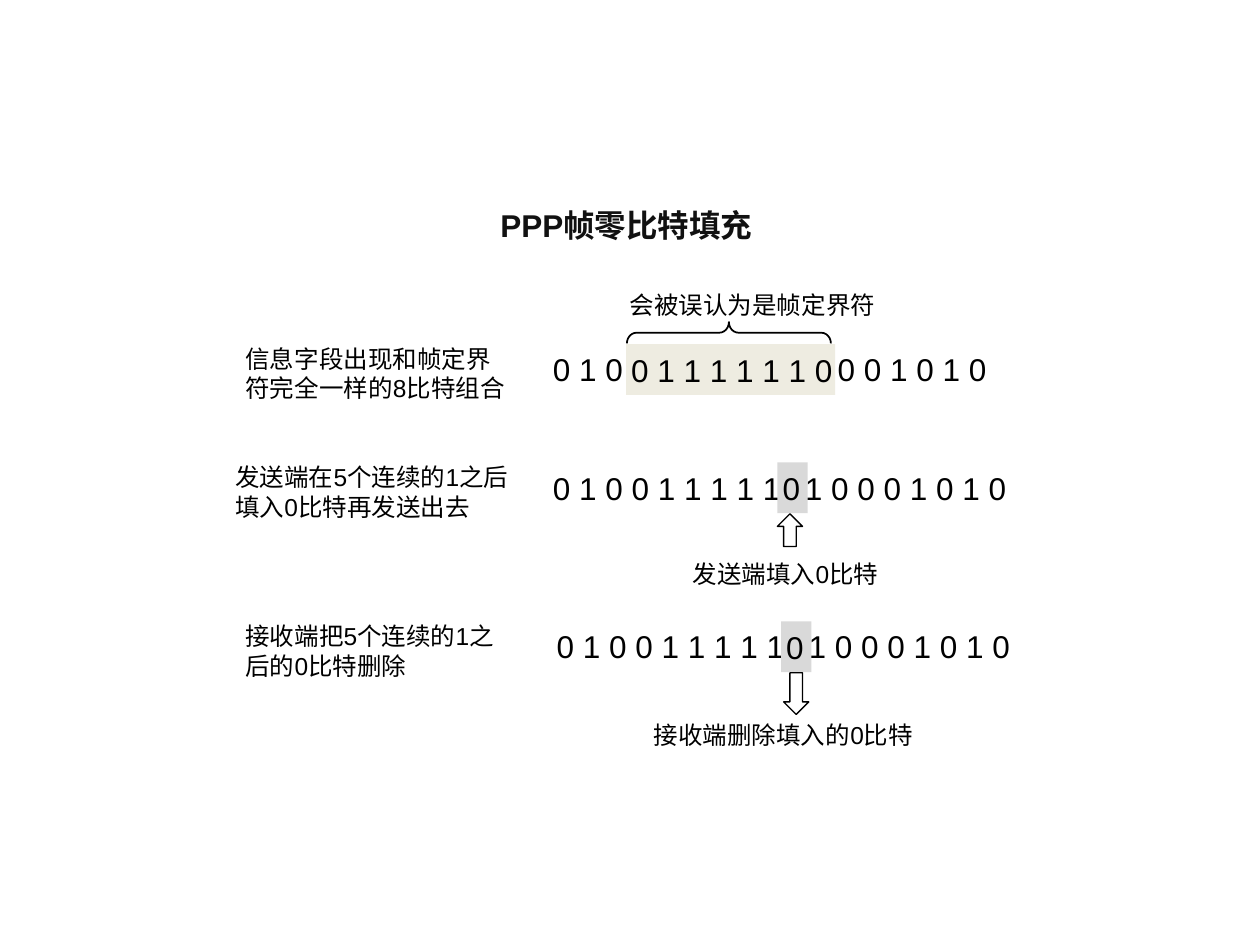
from dataclasses import dataclass

from pptx import Presentation
from pptx import util as u
from pptx.dml.color import RGBColor
from pptx.enum import shapes, text


@dataclass(frozen=True)
class Theme:
    font: str = "Arial"
    ink: str = "000000"
    title_ink: str = "111111"
    paper: str = "FFFFFF"
    flag_fill: str = "EEECE1"
    stuffed_fill: str = "D9D9D9"
    bit_size: int = 18
    note_size: int = 14
    bit_height: float = 29.1
    note_height: float = 24.2
    label_height: float = 41


class BitStuffingSlide:
    """Draws the elements of a bit stuffing diagram, measured in points."""

    def __init__(self, slide, theme):
        self.slide = slide
        self.theme = theme

    def set_text(self, shape, words, size, color=None, bold=False, align=text.PP_ALIGN.LEFT, wrap=True):
        frame = shape.text_frame
        frame.text = words
        frame.word_wrap = wrap
        frame.auto_size = text.MSO_AUTO_SIZE.SHAPE_TO_FIT_TEXT
        paragraph = frame.paragraphs[0]
        paragraph.alignment = align
        font = paragraph.runs[0].font
        font.name = self.theme.font
        font.size = u.Pt(size)
        font.bold = bold
        font.color.rgb = RGBColor.from_string(color or self.theme.ink)

    def fill(self, shape, color):
        shape.fill.solid()
        shape.fill.fore_color.rgb = RGBColor.from_string(color)

    def outline(self, shape, width):
        shape.line.color.rgb = RGBColor.from_string(self.theme.ink)
        shape.line.width = u.Pt(width)

    def preset(self, kind, left, top, width, height):
        shape = self.slide.shapes.add_shape(kind, u.Pt(left), u.Pt(top), u.Pt(width), u.Pt(height))
        shape.shadow.inherit = False
        return shape

    def title(self, words, left, top, width):
        shape = self.slide.shapes.title
        shape.left, shape.top = u.Pt(left), u.Pt(top)
        shape.width, shape.height = u.Pt(width), u.Pt(self.theme.bit_height)
        self.fill(shape, self.theme.paper)
        self.set_text(shape, words, self.theme.bit_size, self.theme.title_ink, True, text.PP_ALIGN.CENTER)

    def text_box(self, words, left, top, width, height, size, wrap=True):
        shape = self.slide.shapes.add_textbox(u.Pt(left), u.Pt(top), u.Pt(width), u.Pt(height))
        self.set_text(shape, words, size, wrap=wrap)

    def bits(self, words, left, top, width, wrap=True):
        self.text_box(words, left, top, width, self.theme.bit_height, self.theme.bit_size, wrap)

    def note(self, words, left, top, width):
        self.text_box(words, left, top, width, self.theme.note_height, self.theme.note_size)

    def label(self, words, left, row_top, width):
        self.text_box(words, left, row_top - 3.6, width, self.theme.label_height, self.theme.note_size)

    def marked_bits(self, words, left, top, width, color, right_inset):
        shape = self.preset(shapes.MSO_SHAPE.RECTANGLE, left, top, width, self.theme.bit_height)
        self.fill(shape, color)
        shape.line.fill.background()
        self.set_text(shape, words, self.theme.bit_size)
        shape.text_frame.margin_left = u.Pt(2.9)
        shape.text_frame.margin_right = u.Pt(right_inset)

    def stuffed_row(self, left, top):
        self.bits("0 1 0 0 1 1 1 1 1", left, top, 151.2, wrap=False)
        self.bits("1 0 0 0 1 0 1 0", left + 144, top, 131)
        self.marked_bits("0", left + 135.4, top, 17.3, self.theme.stuffed_fill, 11.5)

    def brace(self, left, top, width, height):
        shape = self.preset(shapes.MSO_SHAPE.RIGHT_BRACE, left, top, width, height)
        shape.rotation = 270
        shape.adjustments[0] = 0.45
        shape.adjustments[1] = 0.5
        shape.fill.background()
        self.outline(shape, 1)

    def arrow(self, left, top, height, rotation=0):
        shape = self.preset(shapes.MSO_SHAPE.DOWN_ARROW, left, top, 14.4, height)
        shape.rotation = rotation
        self.fill(shape, self.theme.paper)
        self.outline(shape, 0.75)


def main():
    presentation = Presentation()
    presentation.slide_width, presentation.slide_height = u.Pt(720), u.Pt(540)
    theme = Theme()
    diagram = BitStuffingSlide(presentation.slides.add_slide(presentation.slide_layouts[5]), theme)
    data_top, sender_top, receiver_top = 196.6, 264.2, 355

    diagram.title("PPP帧零比特填充", 275.8, 113.8, 164.2)

    diagram.marked_bits("0 1 1 1 1 1 1 0", 357.8, data_top, 119.5, theme.flag_fill, 0)
    diagram.bits("0 1 0", 308.9, data_top, 54.7, wrap=False)
    diagram.bits("0 0 1 0 1 0", 471.6, data_top, 107.3)
    diagram.note("会被误认为是帧定界符", 352.8, 162, 155.5)
    diagram.brace(410.4, 131.8, 12.2, 116.6)
    diagram.label("信息字段出现和帧定界符完全一样的8比特组合", 133.2, data_top, 165.6)

    diagram.stuffed_row(308.9, sender_top)
    diagram.arrow(444.2, 293.6, 18.7, rotation=180)
    diagram.note("发送端填入0比特", 388.8, 316.1, 141.8)
    diagram.label("发送端在5个连续的1之后填入0比特再发送出去", 127.4, sender_top, 171.4)

    diagram.stuffed_row(311, receiver_top)
    diagram.arrow(447.8, 384.5, 23.8)
    diagram.note("接收端删除填入的0比特", 366.5, 408.2, 171.4)
    diagram.label("接收端把5个连续的1之后的0比特删除", 133.2, receiver_top, 165.6)

    presentation.save("out.pptx")


if __name__ == "__main__":
    main()
